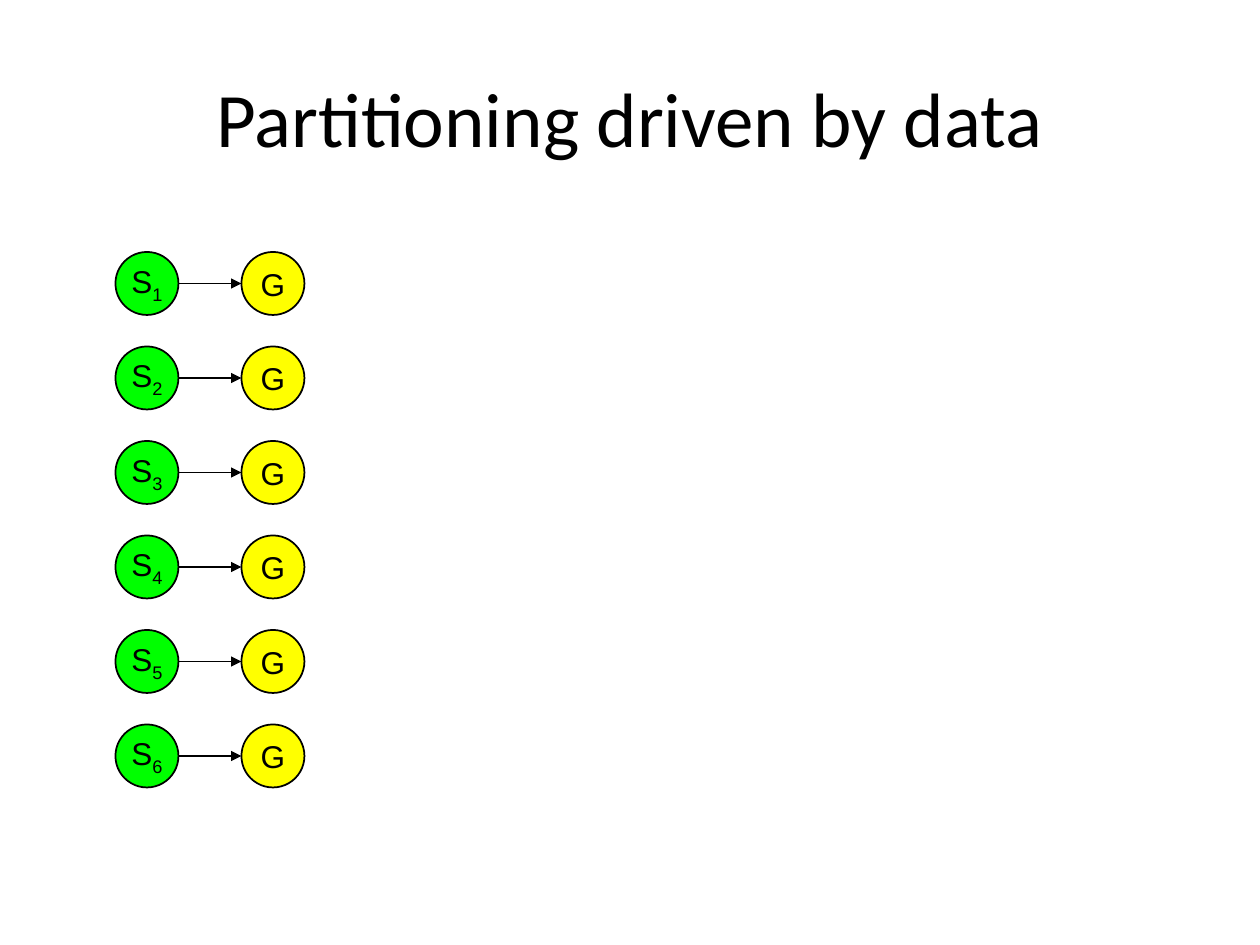
from lxml import etree
from pptx import Presentation
from pptx.dml.color import RGBColor
from pptx.enum import shapes, text
from pptx.oxml.ns import qn
from pptx.util import Pt

BLACK, GREEN, YELLOW = "000000", "00FF00", "FFFF00"
SIZE = 36    # node diameter
STEP = 72    # from source node to group node
PITCH = 54   # from row to row


def color(code):
    return RGBColor.from_string(code)


def write(shape, label, font, size, sub=""):
    """Centre a label, with an optional subscript, in a shape."""
    frame = shape.text_frame
    frame.word_wrap = True
    frame.vertical_anchor = text.MSO_ANCHOR.MIDDLE
    frame.margin_left = frame.margin_right = 0
    frame.margin_top = frame.margin_bottom = 0
    para = frame.paragraphs[0]
    para.alignment = text.PP_ALIGN.CENTER
    para.font.name = font
    para.font.size = Pt(size)
    para.font.color.rgb = color(BLACK)
    para.add_run().text = label
    if sub:
        run = para.add_run()
        run.text = sub
        run.font._element.set("baseline", "-25000")


def title(slide, left, top, width, height):
    box = slide.shapes.add_textbox(Pt(left), Pt(top), Pt(width), Pt(height))
    write(box, "Partitioning driven by data", "Calibri", 44)


def node(slide, left, top, fill, label, sub=""):
    disc = slide.shapes.add_shape(shapes.MSO_SHAPE.OVAL,
                                  Pt(left), Pt(top), Pt(SIZE), Pt(SIZE))
    disc.shadow.inherit = False
    disc.fill.solid()
    disc.fill.fore_color.rgb = color(fill)
    disc.line.color.rgb = color(BLACK)
    disc.line.width = Pt(1)
    write(disc, label, "Arial", 18, sub)


def arrow(slide, start, end, y):
    link = slide.shapes.add_connector(shapes.MSO_CONNECTOR.STRAIGHT,
                                      Pt(start), Pt(y), Pt(end), Pt(y))
    link.line.color.rgb = color(BLACK)
    link.line.width = Pt(1)
    tip = etree.SubElement(link.line._get_or_add_ln(), qn("a:tailEnd"))
    tip.set("type", "triangle")
    etree.SubElement(link._element.spPr, qn("a:effectLst"))


def pairs(slide, left, top, count):
    """Stack rows of a source node pointing at a group node."""
    for i in range(count):
        y = top + i * PITCH
        node(slide, left, y, GREEN, "S", str(i + 1))
        node(slide, left + STEP, y, YELLOW, "G")
        arrow(slide, left + SIZE, left + STEP, y + SIZE / 2)


def main():
    deck = Presentation()
    deck.slide_width, deck.slide_height = Pt(720), Pt(540)
    slide = deck.slides.add_slide(deck.slide_layouts[6])
    title(slide, 36, 21.6, 648, 90)
    pairs(slide, 66, 144, 6)
    deck.save("out.pptx")


if __name__ == "__main__":
    main()
